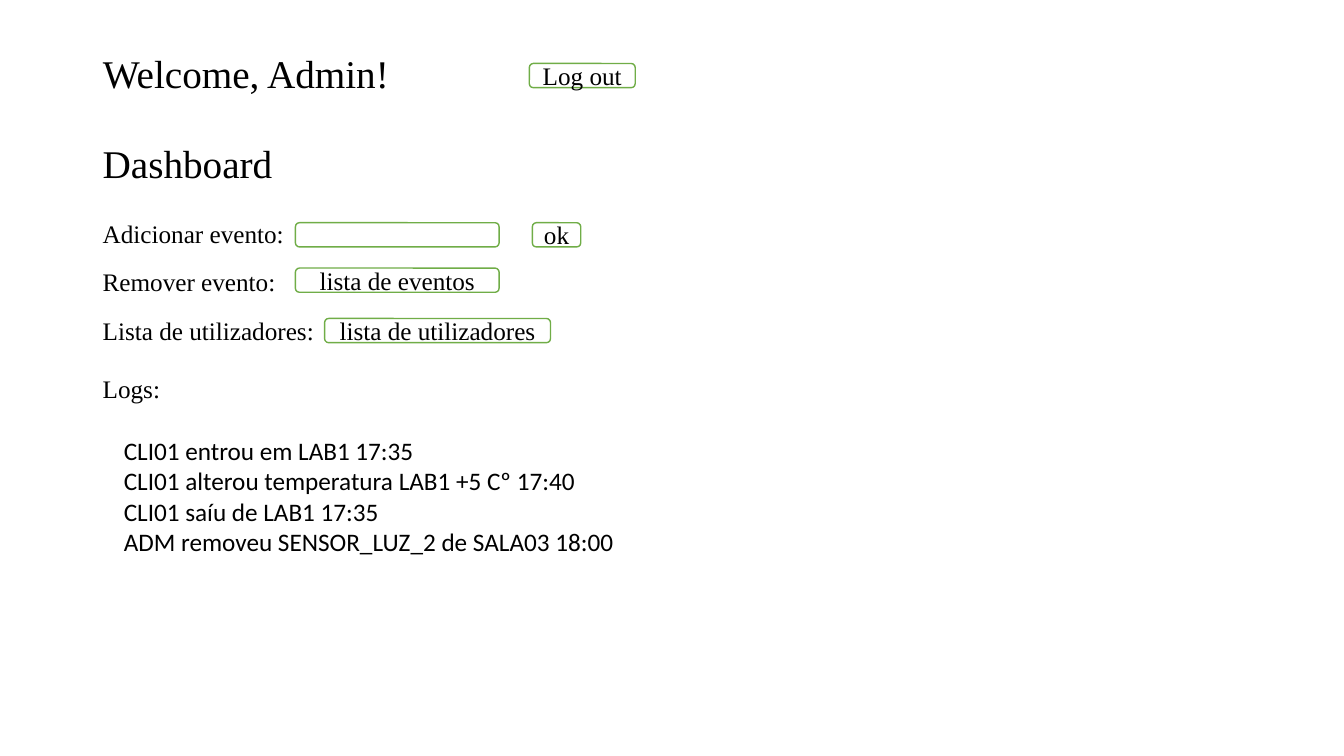
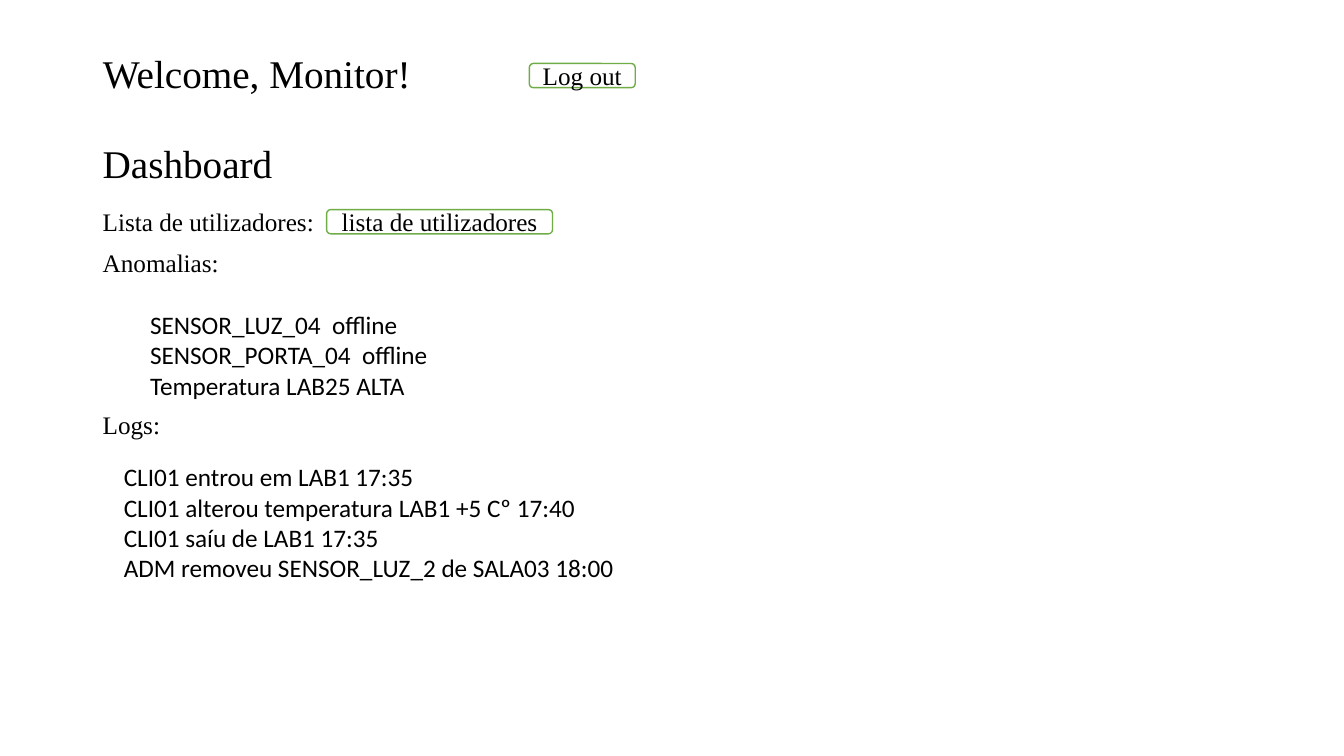
from pptx import Presentation
from pptx.dml.color import RGBColor
from pptx.enum import shapes, text
from pptx.util import Inches, Pt

BLACK, WHITE, GREEN = "000000", "FFFFFF", "70AD47"
SERIF, SANS = "Times New Roman", "Calibri"
LEFT, BUTTON_H = 0.92, 0.24
LOGS = [
    "CLI01 entrou em LAB1 17:35",
    "CLI01 alterou temperatura LAB1 +5 Cº 17:40",
    "CLI01 saíu de LAB1 17:35",
    "ADM removeu SENSOR_LUZ_2 de SALA03 18:00",
]
ANOMALIES = [
    "SENSOR_LUZ_04  offline",
    "SENSOR_PORTA_04  offline",
    "Temperatura LAB25 ALTA",
]

# labels: (text, top, width); buttons: (text, left, top, width)
# lists: (lines, left, top, width)
SCREENS = [
    {
        "title": "Welcome, Admin!",
        "labels": [
            ("Adicionar evento:", 2.12, 2.02),
            ("Remover evento:", 2.59, 1.93),
            ("Lista de utilizadores:", 3.08, 2.32),
            ("Logs:", 3.65, 0.78),
        ],
        "buttons": [
            ("", 2.93, 2.21, 2.02),
            ("ok", 5.28, 2.21, 0.48),
            ("lista de eventos", 2.93, 2.66, 2.02),
            ("lista de utilizadores", 3.22, 3.16, 2.24),
        ],
        "lists": [(LOGS, 1.13, 4.27, 5.17)],
    },
    {
        "title": "Welcome, Monitor!",
        "labels": [
            ("Lista de utilizadores:", 2.0, 2.32),
            ("Anomalias:", 2.4, 1.37),
            ("Logs:", 4.01, 0.78),
        ],
        "buttons": [("lista de utilizadores", 3.24, 2.08, 2.24)],
        "lists": [(ANOMALIES, 1.39, 3.02, 3.04), (LOGS, 1.13, 4.53, 5.17)],
    },
]


def rgb(value):
    """Turn a hex string into a colour."""
    return RGBColor.from_string(value)


def write(tf, lines, size=18, font=SERIF, align=text.PP_ALIGN.LEFT):
    """Write one paragraph per line into a text frame."""
    for i, line in enumerate(lines):
        p = tf.paragraphs[0] if i == 0 else tf.add_paragraph()
        p.alignment = align
        r = p.add_run()
        r.text = line
        r.font.size, r.font.name = Pt(size), font
        r.font.color.rgb = rgb(BLACK)


def add_text(s, lines, left, top, width, height, wrap=False, **style):
    """Add a text box that fits its text."""
    box = s.shapes.add_textbox(*map(Inches, (left, top, width, height)))
    tf = box.text_frame
    tf.word_wrap = wrap
    tf.auto_size = text.MSO_AUTO_SIZE.SHAPE_TO_FIT_TEXT
    write(tf, lines, **style)


def add_button(s, caption, left, top, width):
    """Add a white rounded field with a green outline."""
    sp = s.shapes.add_shape(shapes.MSO_SHAPE.ROUNDED_RECTANGLE,
                            *map(Inches, (left, top, width, BUTTON_H)))
    sp.shadow.inherit = False
    sp.fill.solid()
    sp.fill.fore_color.rgb = rgb(WHITE)
    sp.line.color.rgb = rgb(GREEN)
    sp.line.width = Pt(1)
    if caption:
        sp.text_frame.vertical_anchor = text.MSO_ANCHOR.MIDDLE
        write(sp.text_frame, [caption], align=text.PP_ALIGN.CENTER)


def add_header(s, title):
    """Fill the title and add the heading and log-out button."""
    sp = s.shapes.title
    sp.left, sp.top, sp.width, sp.height = map(Inches, (LEFT, 0.4, 3.75, 0.7))
    tf = sp.text_frame
    tf.vertical_anchor = text.MSO_ANCHOR.MIDDLE
    write(tf, [title], size=28)
    tf.paragraphs[0].line_spacing = 0.9
    add_text(s, ["Dashboard"], LEFT, 1.33, 1.9, 0.57, size=28)
    add_button(s, "Log out", 5.25, 0.63, 1.05)


def build_screen(prs, screen):
    """Build one dashboard slide."""
    s = prs.slides.add_slide(prs.slide_layouts[5])
    add_header(s, screen["title"])
    for label, top, width in screen["labels"]:
        add_text(s, [label], LEFT, top, width, 0.4)
    for button in screen["buttons"]:
        add_button(s, *button)
    for lines, left, top, width in screen["lists"]:
        add_text(s, lines, left, top, width, 1.31, wrap=True, font=SANS)


prs = Presentation()
prs.slide_width, prs.slide_height = Inches(13.33), Inches(7.5)
for screen in SCREENS:
    build_screen(prs, screen)
prs.save("out.pptx")
